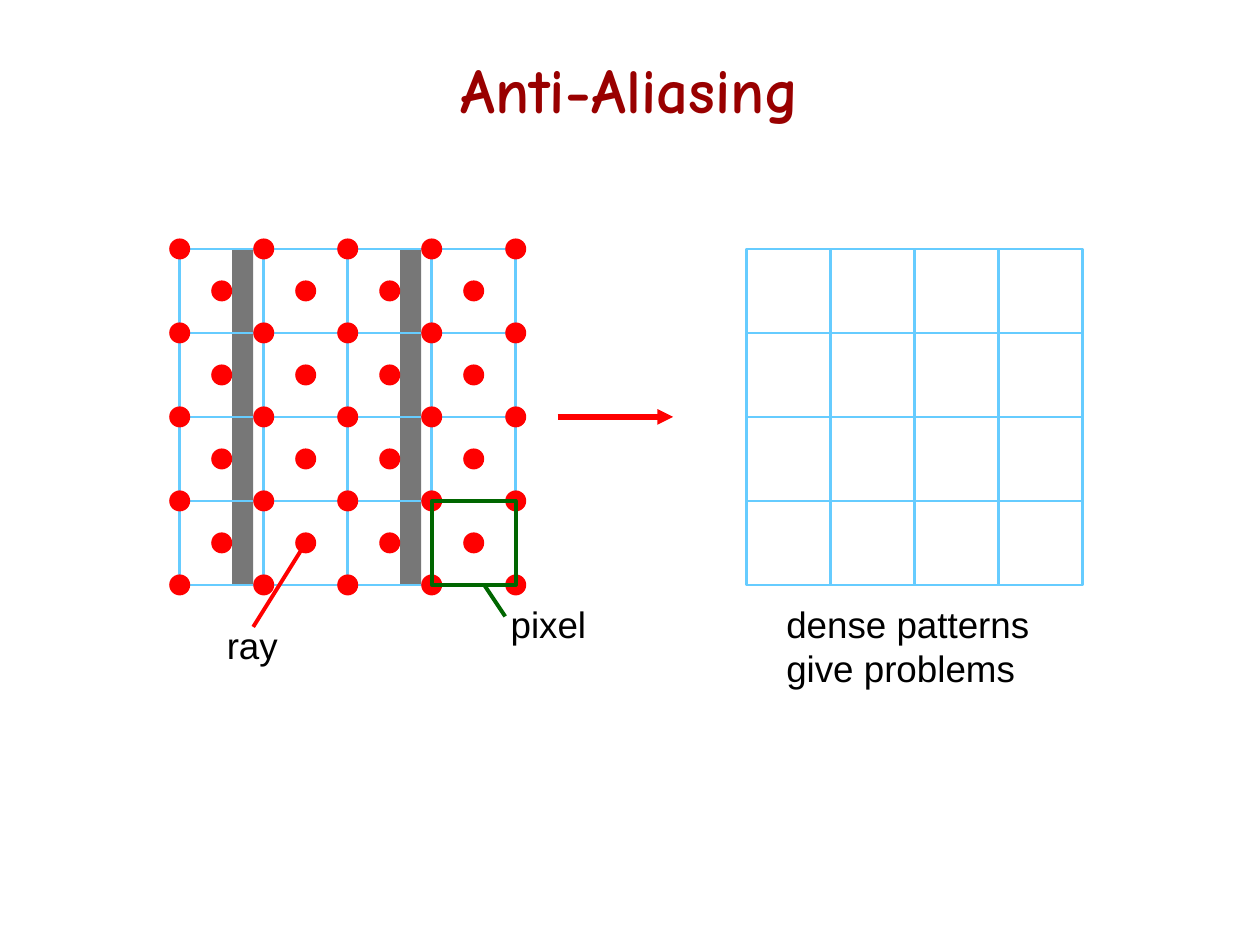
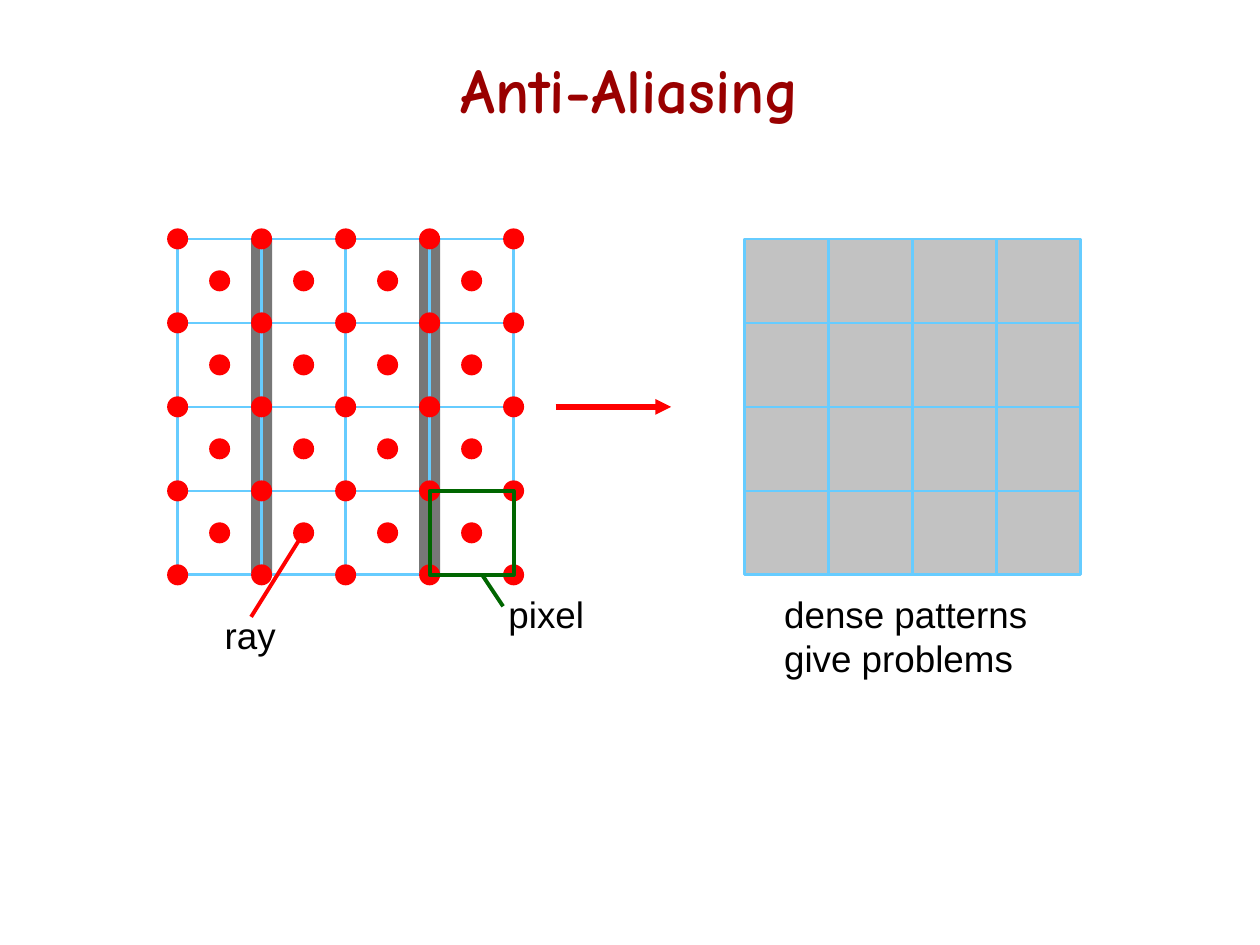
from dataclasses import dataclass
from itertools import product

from pptx import Presentation
from pptx.dml.color import RGBColor
from pptx.enum.shapes import MSO_CONNECTOR as CONN, MSO_SHAPE as SHAPE
from pptx.enum.text import (MSO_ANCHOR as ANCHOR, MSO_AUTO_SIZE as AUTO,
                            PP_ALIGN as ALIGN)
from pptx.oxml.ns import qn
from pptx.util import Pt
from lxml.etree import SubElement

# Shared style
TITLE_FONT, BODY_FONT = "Comic Neue", "Arial"
TITLE_COLOR, TEXT_COLOR = "990000", "000000"
GRID_COLOR, BAR_COLOR = "66CCFF", "777777"
RAY_COLOR, PIXEL_COLOR = "FF0000", "006600"

# Grid measures
COUNT, CELL, DOT = 4, 48, 12
SIDE = COUNT * CELL
RESULT_SHIFT = 324
BAR_STEP = 2 * CELL


@dataclass(frozen=True)
class Scene:
    """Corner of the sampled grid, bar offset and colour of the result."""
    left: float
    top: float
    bar_offset: float
    result_fill: str | None = None


@dataclass(frozen=True)
class Label:
    """A note placed relative to the corner of the sampled grid."""
    lines: tuple[str, ...]
    x: float
    y: float
    width: float
    height: float


@dataclass(frozen=True)
class Pointer:
    """A line placed relative to the corner of the sampled grid."""
    start: tuple[float, float]
    end: tuple[float, float]
    color: str
    weight: float
    arrow: bool = False


SCENES = [
    Scene(102.7, 142.25, 30),
    Scene(101.5, 136.5, 42, "C2C2C2"),
]
LABELS = [
    Label(("pixel",), 182, 198.2, 57.6, 32.4),
    Label(("ray",), 19.8, 210.2, 44, 32.4),
    Label(("dense patterns", "give problems"), 339.5, 198.2, 159, 57.6),
]
POINTERS = [
    Pointer((174, 192), (186, 210), PIXEL_COLOR, 2.25),
    Pointer((42, 216), (72, 168), RAY_COLOR, 2.25),
    Pointer((216, 96), (282, 96), RAY_COLOR, 3, arrow=True),
]


def rgb(color: str) -> RGBColor:
    return RGBColor.from_string(color)


def add_box(s, kind, x: float, y: float, w: float, h: float,
            fill: str | None = None, line: str | None = None,
            weight: float = 1.5):
    sp = s.shapes.add_shape(kind, Pt(x), Pt(y), Pt(w), Pt(h))
    sp.shadow.inherit = False
    if fill:
        sp.fill.solid()
        sp.fill.fore_color.rgb = rgb(fill)
    else:
        sp.fill.background()
    if line:
        sp.line.color.rgb = rgb(line)
        sp.line.width = Pt(weight)
    else:
        sp.line.fill.background()
    return sp


def add_line(s, x1: float, y1: float, x2: float, y2: float,
             color: str, weight: float = 1.5, arrow: bool = False):
    cx = s.shapes.add_connector(CONN.STRAIGHT, Pt(x1), Pt(y1), Pt(x2), Pt(y2))
    cx.line.color.rgb = rgb(color)
    cx.line.width = Pt(weight)
    if arrow:
        SubElement(cx.line._get_or_add_ln(), qn("a:tailEnd"), type="triangle")
    SubElement(cx._element.spPr, qn("a:effectLst"))
    return cx


def add_text(s, lines: tuple[str, ...], x: float, y: float, w: float, h: float,
             font: str = BODY_FONT, size: float = 21, color: str = TEXT_COLOR,
             bold: bool = False, align=ALIGN.LEFT, anchor=ANCHOR.TOP,
             wrap: bool = False) -> None:
    tf = s.shapes.add_textbox(Pt(x), Pt(y), Pt(w), Pt(h)).text_frame
    tf.word_wrap = wrap
    tf.auto_size = AUTO.NONE if wrap else AUTO.SHAPE_TO_FIT_TEXT
    tf.vertical_anchor = anchor
    for i, line in enumerate(lines):
        p = tf.add_paragraph() if i else tf.paragraphs[0]
        p.alignment = align
        r = p.add_run()
        r.text = line
        r.font.name, r.font.size, r.font.bold = font, Pt(size), bold
        r.font.color.rgb = rgb(color)


def add_grid(s, left: float, top: float, fill: str | None = None) -> None:
    frame = add_box(s, SHAPE.RECTANGLE, left, top, SIDE, SIDE, fill, GRID_COLOR)
    for i in range(1, COUNT):
        x, y = left + i * CELL, top + i * CELL
        row = add_line(s, left, y, left + SIDE, y, GRID_COLOR)
        column = add_line(s, x, top, x, top + SIDE, GRID_COLOR)
        # The middle lines meet the frame at the middle of its sides
        if 2 * i == COUNT:
            row.begin_connect(frame, 1)
            row.end_connect(frame, 3)
            column.begin_connect(frame, 0)
            column.end_connect(frame, 2)


def add_rays(s, left: float, top: float, count: int) -> None:
    """Draw count x count dots, one cell apart, from the given centre."""
    for row, col in product(range(count), repeat=2):
        add_box(s, SHAPE.OVAL, left + col * CELL - DOT / 2,
                top + row * CELL - DOT / 2, DOT, DOT, RAY_COLOR)


def add_scene(s, scene: Scene) -> None:
    left, top = scene.left, scene.top
    add_text(s, ("Anti-Aliasing",), 54, 18, 612, 64.8, TITLE_FONT, 36,
             TITLE_COLOR, True, ALIGN.CENTER, ANCHOR.MIDDLE, True)

    # Dense pattern under the sampled grid
    for i in range(2):
        add_box(s, SHAPE.RECTANGLE, left + scene.bar_offset + i * BAR_STEP,
                top, DOT, SIDE, BAR_COLOR)
    add_grid(s, left, top)
    add_grid(s, left + RESULT_SHIFT, top, scene.result_fill)

    # Notes and their pointers
    for note in LABELS:
        add_text(s, note.lines, left + note.x, top + note.y,
                 note.width, note.height)
    for ptr in POINTERS:
        (x1, y1), (x2, y2) = ptr.start, ptr.end
        add_line(s, left + x1, top + y1, left + x2, top + y2,
                 ptr.color, ptr.weight, ptr.arrow)

    # Rays at the corners, the marked pixel, rays at the centres
    add_rays(s, left, top, COUNT + 1)
    add_box(s, SHAPE.RECTANGLE, left + SIDE - CELL, top + SIDE - CELL,
            CELL, CELL, line=PIXEL_COLOR, weight=2.25)
    add_rays(s, left + CELL / 2, top + CELL / 2, COUNT)


def main() -> None:
    prs = Presentation()
    prs.slide_width, prs.slide_height = Pt(720), Pt(540)
    for scene in SCENES:
        add_scene(prs.slides.add_slide(prs.slide_layouts[6]), scene)
    prs.save("out.pptx")


if __name__ == "__main__":
    main()
